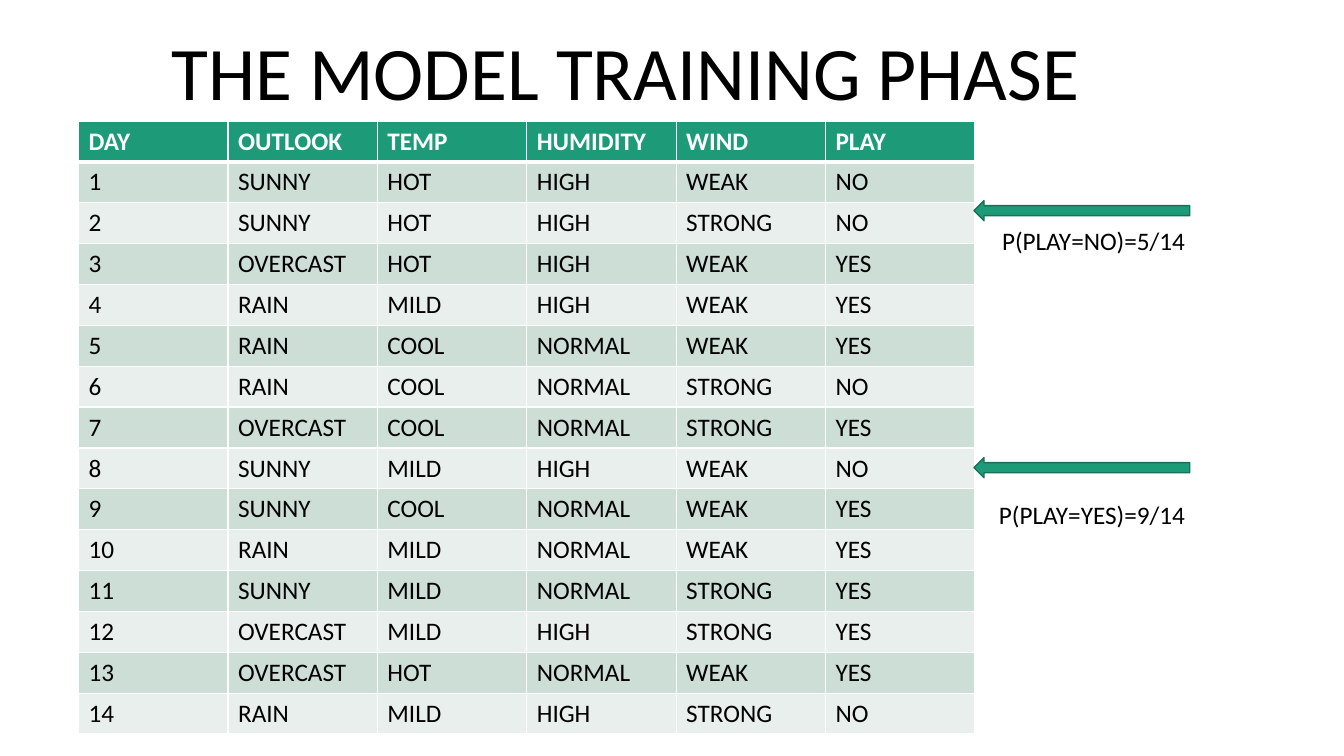
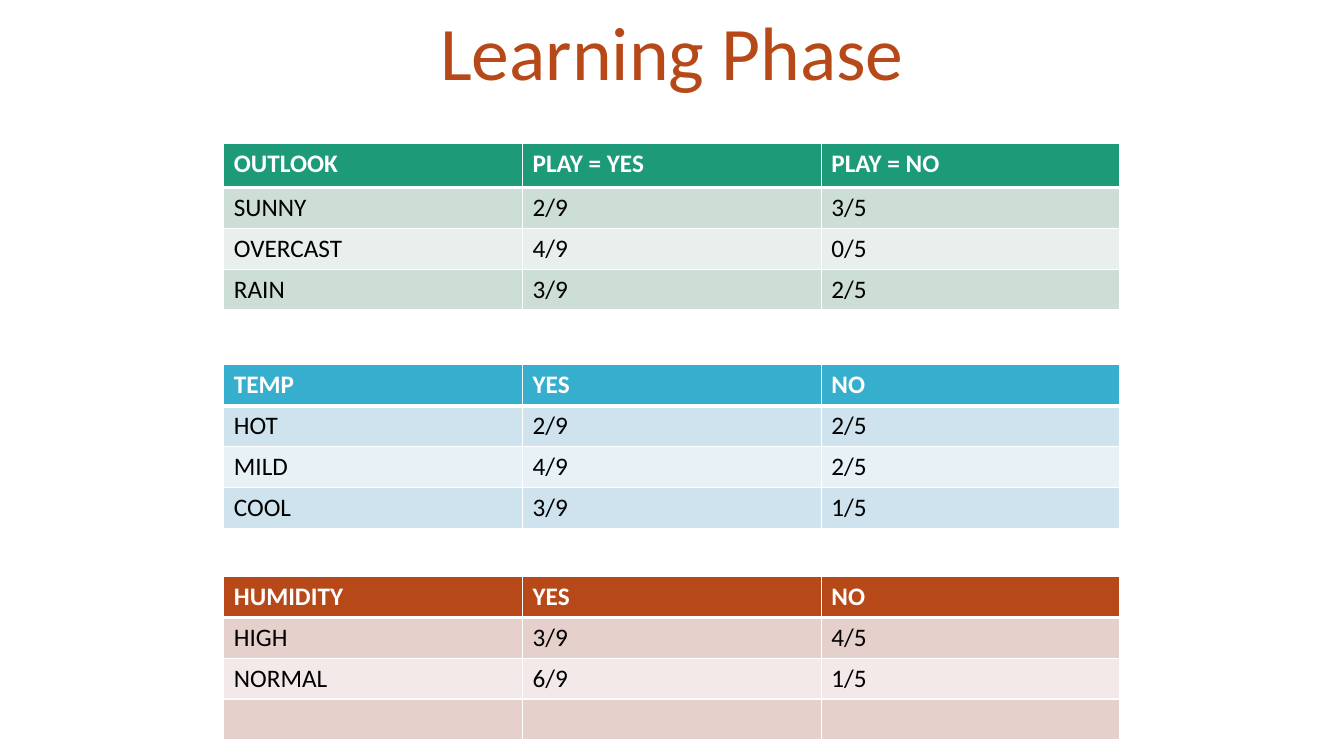
from lxml.etree import SubElement
from pptx import Presentation
from pptx.dml.color import RGBColor
from pptx.enum.shapes import MSO_SHAPE
from pptx.enum.text import MSO_AUTO_SIZE, PP_ALIGN
from pptx.oxml.ns import qn
from pptx.util import Inches, Pt

# Shared style
FONT = "Calibri"
COLOURS = {
    "black": "000000",
    "white": "FFFFFF",
    "arrow line": "157259",
    "green": "1D9A78", "green band": "CDDED6", "green light": "E8EFEC",
    "blue": "36AFCE", "blue band": "CEE3ED", "blue light": "E8F2F6",
    "rust": "B74919", "rust band": "E6D0CC", "rust light": "F3E9E8",
    "rust dark": "5C240C", "rust bright": "E98960",
}
TITLE_STYLE = {"size": 54, "align": PP_ALIGN.CENTER}
TABLE_WIDTH = Inches(8.89)
ROW_HEIGHT = Inches(6.08) // 15


def write_text(frame, text, size=18, colour="black", bold=False, align=None, wrap=True):
    """Write one formatted line and return its run."""
    frame.word_wrap = wrap
    if not wrap:
        frame.auto_size = MSO_AUTO_SIZE.SHAPE_TO_FIT_TEXT
    paragraph = frame.paragraphs[0]
    paragraph.alignment = align
    run = paragraph.add_run()
    run.text = text
    run.font.name = FONT
    run.font.size = Pt(size)
    run.font.bold = bold
    run.font.color.rgb = RGBColor.from_string(COLOURS[colour])
    return run


def add_banded_table(slide, rows, left, top, hue, header_height=ROW_HEIGHT):
    """Add a table with a coloured header and alternating bands."""
    height = header_height + ROW_HEIGHT * (len(rows) - 1)
    table = slide.shapes.add_table(
        len(rows), len(rows[0]), left, top, TABLE_WIDTH, height).table
    for row_index, values in enumerate(rows):
        is_header = row_index == 0
        table.rows[row_index].height = header_height if is_header else ROW_HEIGHT
        if is_header:
            fill = hue
        else:
            fill = f"{hue} band" if row_index % 2 else f"{hue} light"
        # A thick rule separates the header from the body
        borders = {"lnL": 1, "lnR": 1,
                   "lnT": 3 if row_index == 1 else 1,
                   "lnB": 3 if is_header else 1}
        for column_index, value in enumerate(values):
            cell = table.cell(row_index, column_index)
            properties = cell._tc.get_or_add_tcPr()
            for side, points in borders.items():
                line = SubElement(properties, qn(f"a:{side}"), w=str(Pt(points)))
                solid = SubElement(line, qn("a:solidFill"))
                SubElement(solid, qn("a:srgbClr"), val=COLOURS["white"])
            cell.fill.solid()
            cell.fill.fore_color.rgb = RGBColor.from_string(COLOURS[fill])
            if value:
                write_text(cell.text_frame, value, bold=is_header,
                           colour="white" if is_header else "black")


presentation = Presentation()
presentation.slide_width = Inches(13.33)
presentation.slide_height = Inches(7.5)
blank = presentation.slide_layouts[6]

# Slide 1: training data
slide = presentation.slides.add_slide(blank)
observations = [
    "SUNNY HOT HIGH WEAK NO",
    "SUNNY HOT HIGH STRONG NO",
    "OVERCAST HOT HIGH WEAK YES",
    "RAIN MILD HIGH WEAK YES",
    "RAIN COOL NORMAL WEAK YES",
    "RAIN COOL NORMAL STRONG NO",
    "OVERCAST COOL NORMAL STRONG YES",
    "SUNNY MILD HIGH WEAK NO",
    "SUNNY COOL NORMAL WEAK YES",
    "RAIN MILD NORMAL WEAK YES",
    "SUNNY MILD NORMAL STRONG YES",
    "OVERCAST MILD HIGH STRONG YES",
    "OVERCAST HOT NORMAL WEAK YES",
    "RAIN MILD HIGH STRONG NO",
]
training_rows = [["DAY", "OUTLOOK", "TEMP", "HUMIDITY", "WIND", "PLAY"]]
for day, observation in enumerate(observations, start=1):
    training_rows.append([str(day), *observation.split()])
add_banded_table(slide, training_rows, Inches(0.78), Inches(1.2), "green")

title = slide.shapes.add_textbox(Inches(1.55), Inches(0.2), Inches(9.31), Inches(1.01))
write_text(title.text_frame, "THE MODEL TRAINING PHASE", wrap=False, **TITLE_STYLE)

# Arrows and class probabilities
probabilities = [
    ("P(PLAY=NO)=5/14", 1.99, 9.84, 2.19, 2.04),
    ("P(PLAY=YES)=9/14", 4.54, 9.81, 4.9, 2.07),
]
for text, arrow_top, label_left, label_top, label_width in probabilities:
    arrow = slide.shapes.add_shape(
        MSO_SHAPE.LEFT_ARROW, Inches(9.66), Inches(arrow_top), Inches(2.14), Inches(0.2))
    arrow.shadow.inherit = False
    arrow.fill.solid()
    arrow.fill.fore_color.rgb = RGBColor.from_string(COLOURS["green"])
    arrow.line.color.rgb = RGBColor.from_string(COLOURS["arrow line"])
    arrow.line.width = Pt(1)
    label = slide.shapes.add_textbox(
        Inches(label_left), Inches(label_top), Inches(label_width), Inches(0.4))
    write_text(label.text_frame, text, wrap=False)

# Slide 2: conditional probabilities
slide = presentation.slides.add_slide(blank)
title = slide.shapes.add_textbox(Inches(4.24), 0, Inches(4.85), Inches(1.01))
title_run = write_text(title.text_frame, "Learning Phase", wrap=False, **TITLE_STYLE)

# Vertical three-stop gradient on the title
title_run.font.fill.gradient()
gradient = title_run.font._element.find(qn("a:gradFill"))
for child in list(gradient):
    gradient.remove(child)
stops = SubElement(gradient, qn("a:gsLst"))
for percent, colour in [(0, "rust dark"), (50, "rust"), (100, "rust bright")]:
    stop = SubElement(stops, qn("a:gs"), pos=str(percent * 1000))
    SubElement(stop, qn("a:srgbClr"), val=COLOURS[colour])
SubElement(gradient, qn("a:lin"), ang=str(90 * 60000), scaled="0")

# One table per feature
feature_tables = [
    (1.42, "green", Inches(0.44), [
        ["OUTLOOK", "PLAY = YES", "PLAY = NO"],
        ["SUNNY", "2/9", "3/5"],
        ["OVERCAST", "4/9", "0/5"],
        ["RAIN", "3/9", "2/5"]]),
    (3.62, "blue", ROW_HEIGHT, [
        ["TEMP", "YES", "NO"],
        ["HOT", "2/9", "2/5"],
        ["MILD", "4/9", "2/5"],
        ["COOL", "3/9", "1/5"]]),
    (5.72, "rust", ROW_HEIGHT, [
        ["HUMIDITY", "YES", "NO"],
        ["HIGH", "3/9", "4/5"],
        ["NORMAL", "6/9", "1/5"],
        ["", "", ""]]),
]
for top, hue, header_height, rows in feature_tables:
    add_banded_table(slide, rows, Inches(2.22), Inches(top), hue, header_height)

presentation.save("out.pptx")
